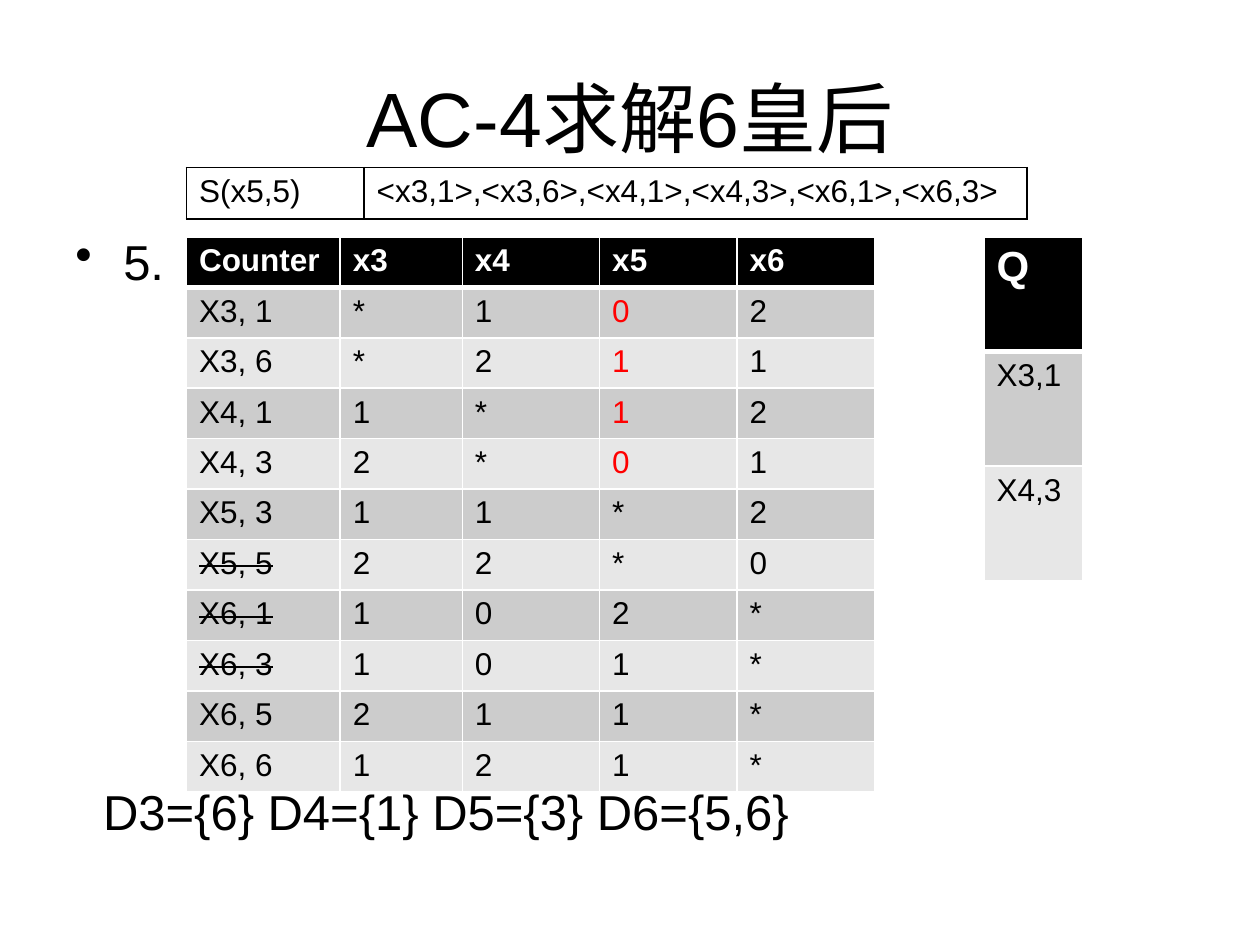
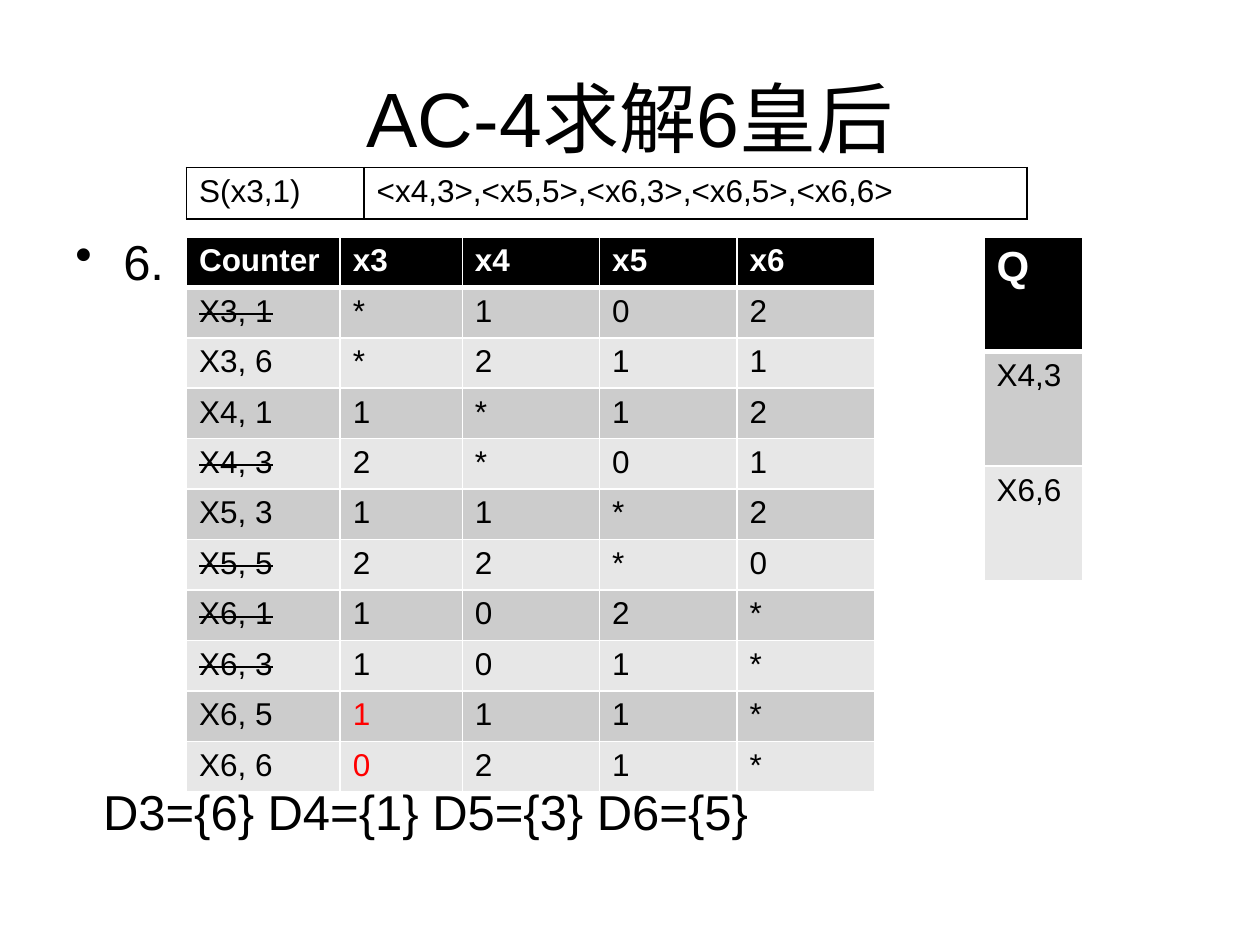
from dataclasses import dataclass

from lxml import etree
from pptx import Presentation
from pptx.dml.color import RGBColor
from pptx.enum.text import MSO_ANCHOR, PP_ALIGN
from pptx.oxml.ns import qn
from pptx.util import Inches, Pt

MIDDLE = MSO_ANCHOR.MIDDLE
TOP = MSO_ANCHOR.TOP
CENTER = PP_ALIGN.CENTER
LEFT = PP_ALIGN.LEFT

BLACK = RGBColor(0x00, 0x00, 0x00)
WHITE = RGBColor(0xFF, 0xFF, 0xFF)
RED = RGBColor(0xFF, 0x00, 0x00)
BANDS = (RGBColor(0xCC, 0xCC, 0xCC), RGBColor(0xE7, 0xE7, 0xE7))

FONT = "Arial"
TITLE = "AC-4求解6皇后"
VARIABLES = ("x3", "x4", "x5", "x6")
COUNTERS = {
    "X3, 1": "*102",
    "X3, 6": "*211",
    "X4, 1": "1*12",
    "X4, 3": "2*01",
    "X5, 3": "11*2",
    "X5, 5": "22*0",
    "X6, 1": "102*",
    "X6, 3": "101*",
    "X6, 5": "211*",
    "X6, 6": "121*",
}


@dataclass(frozen=True)
class Step:
    number: str
    support: tuple[str, str]
    updates: dict[tuple[str, str], str]
    struck: tuple[str, ...]
    queue: tuple[str, ...]
    domains: str


@dataclass(frozen=True)
class Cell:
    text: str
    color: RGBColor = BLACK
    size: int = 18
    bold: bool = False
    strike: bool = False


@dataclass(frozen=True)
class Grid:
    left: float
    top: float
    widths: tuple[float, ...]
    row_height: float
    banded: bool = True


SUPPORT_GRID = Grid(1.48, 1.33, (1.41, 5.26), 0.41, banded=False)
COUNTER_GRID = Grid(1.48, 1.88, (1.22, 0.97, 1.09, 1.09, 1.09), 0.38)
QUEUE_GRID = Grid(7.81, 1.88, (0.78,), 0.91)

STEPS = (
    Step(
        "5.",
        ("S(x5,5)", "<x3,1>,<x3,6>,<x4,1>,<x4,3>,<x6,1>,<x6,3>"),
        {("X3, 1", "x5"): "0", ("X3, 6", "x5"): "1",
         ("X4, 1", "x5"): "1", ("X4, 3", "x5"): "0"},
        ("X5, 5", "X6, 1", "X6, 3"),
        ("X3,1", "X4,3"),
        "D3={6} D4={1} D5={3} D6={5,6}",
    ),
    Step(
        "6.",
        ("S(x3,1)", "<x4,3>,<x5,5>,<x6,3>,<x6,5>,<x6,6>"),
        {("X6, 5", "x3"): "1", ("X6, 6", "x3"): "0"},
        ("X3, 1", "X4, 3", "X5, 5", "X6, 1", "X6, 3"),
        ("X4,3", "X6,6"),
        "D3={6} D4={1} D5={3} D6={5}",
    ),
)


def set_font(p, size: int, color: RGBColor = BLACK, bold: bool = False) -> None:
    p.font.name = FONT
    p.font.size = Pt(size)
    p.font.color.rgb = color
    p.font.bold = bold


def add_text(slide, text: str, left: float, top: float, width: float,
             height: float, size: int, align=LEFT, anchor=TOP):
    box = slide.shapes.add_textbox(
        Inches(left), Inches(top), Inches(width), Inches(height))
    tf = box.text_frame
    tf.word_wrap = True
    tf.vertical_anchor = anchor
    p = tf.paragraphs[0]
    p.text = text
    p.alignment = align
    set_font(p, size)
    return p


def add_bullet(p) -> None:
    pPr = p._p.get_or_add_pPr()
    pPr.set("marL", str(Inches(0.38)))
    pPr.set("indent", str(-Inches(0.38)))
    bullet = etree.Element(qn("a:buChar"), char="•")
    pPr.insert(0, bullet)


def set_border(cell, side: str, color: RGBColor, width: float) -> None:
    ln = etree.SubElement(
        cell._tc.get_or_add_tcPr(), qn(f"a:ln{side}"), w=str(Pt(width)))
    fill = etree.SubElement(ln, qn("a:solidFill"))
    etree.SubElement(fill, qn("a:srgbClr"), val=str(color))


def style_cell(cell, row: int, banded: bool) -> None:
    widths = {"L": 1, "R": 1, "T": 1, "B": 1}
    if banded and row == 0:
        widths["B"] = 3
    elif banded and row == 1:
        widths["T"] = 3
    for side, width in widths.items():
        set_border(cell, side, WHITE if banded else BLACK, width)
    if banded:
        cell.fill.solid()
        cell.fill.fore_color.rgb = BANDS[(row - 1) % 2] if row else BLACK
    else:
        cell.fill.background()


def add_grid(slide, grid: Grid, rows: list[list[Cell]]) -> None:
    table = slide.shapes.add_table(
        len(rows), len(grid.widths), Inches(grid.left), Inches(grid.top),
        Inches(sum(grid.widths)), Inches(grid.row_height * len(rows))).table
    table.first_row = grid.banded
    table.horz_banding = grid.banded
    for column, width in zip(table.columns, grid.widths):
        column.width = Inches(width)
    for i, row in enumerate(rows):
        table.rows[i].height = Inches(grid.row_height)
        for j, content in enumerate(row):
            cell = table.cell(i, j)
            style_cell(cell, i, grid.banded)
            p = cell.text_frame.paragraphs[0]
            r = p.add_run()
            r.text = content.text
            set_font(p, content.size, content.color, content.bold)
            if content.strike:
                r._r.get_or_add_rPr().set("strike", "sngStrike")


def counter_rows(step: Step) -> list[list[Cell]]:
    rows = [[Cell(text, WHITE, bold=True) for text in ("Counter", *VARIABLES)]]
    for label, counts in COUNTERS.items():
        row = [Cell(label, strike=label in step.struck)]
        for variable, count in zip(VARIABLES, counts):
            key = (label, variable)
            row.append(Cell(step.updates.get(key, count),
                            RED if key in step.updates else BLACK))
        rows.append(row)
    return rows


def add_step(prs, step: Step) -> None:
    slide = prs.slides.add_slide(prs.slide_layouts[6])
    add_text(slide, TITLE, 0.5, 0.3, 9, 1.25, 44, CENTER, MIDDLE)
    add_bullet(add_text(slide, step.number, 0.5, 1.79, 0.95, 0.55, 28))
    add_text(slide, step.domains, 0.72, 6.15, 8.78, 0.55, 28)
    add_grid(slide, COUNTER_GRID, counter_rows(step))
    queue = [[Cell("Q", WHITE, 24, True)]] + [[Cell(t)] for t in step.queue]
    add_grid(slide, QUEUE_GRID, queue)
    add_grid(slide, SUPPORT_GRID, [[Cell(t) for t in step.support]])


def main() -> None:
    prs = Presentation()
    prs.slide_width = Inches(10)
    prs.slide_height = Inches(7.5)
    for step in STEPS:
        add_step(prs, step)
    prs.save("out.pptx")


if __name__ == "__main__":
    main()
